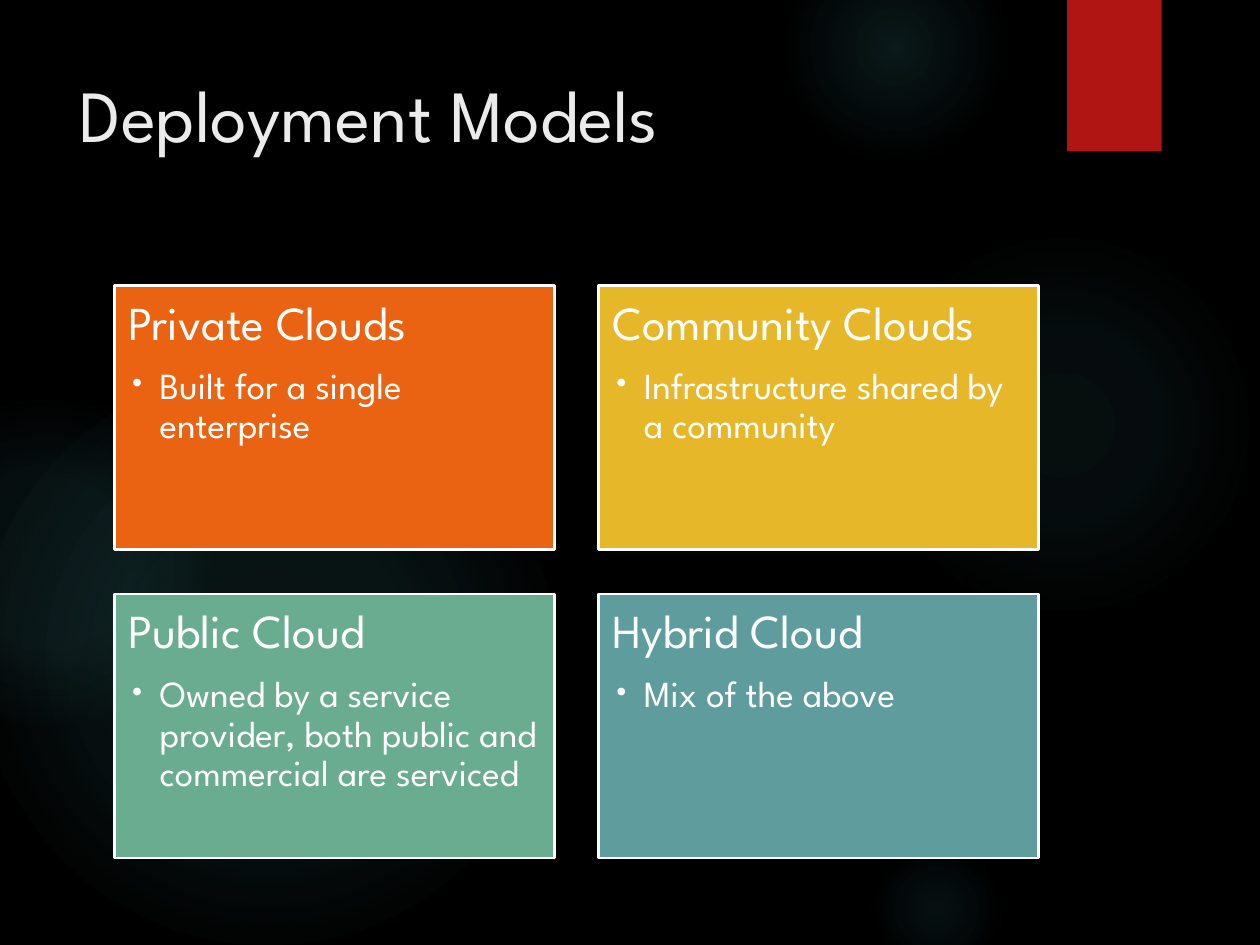
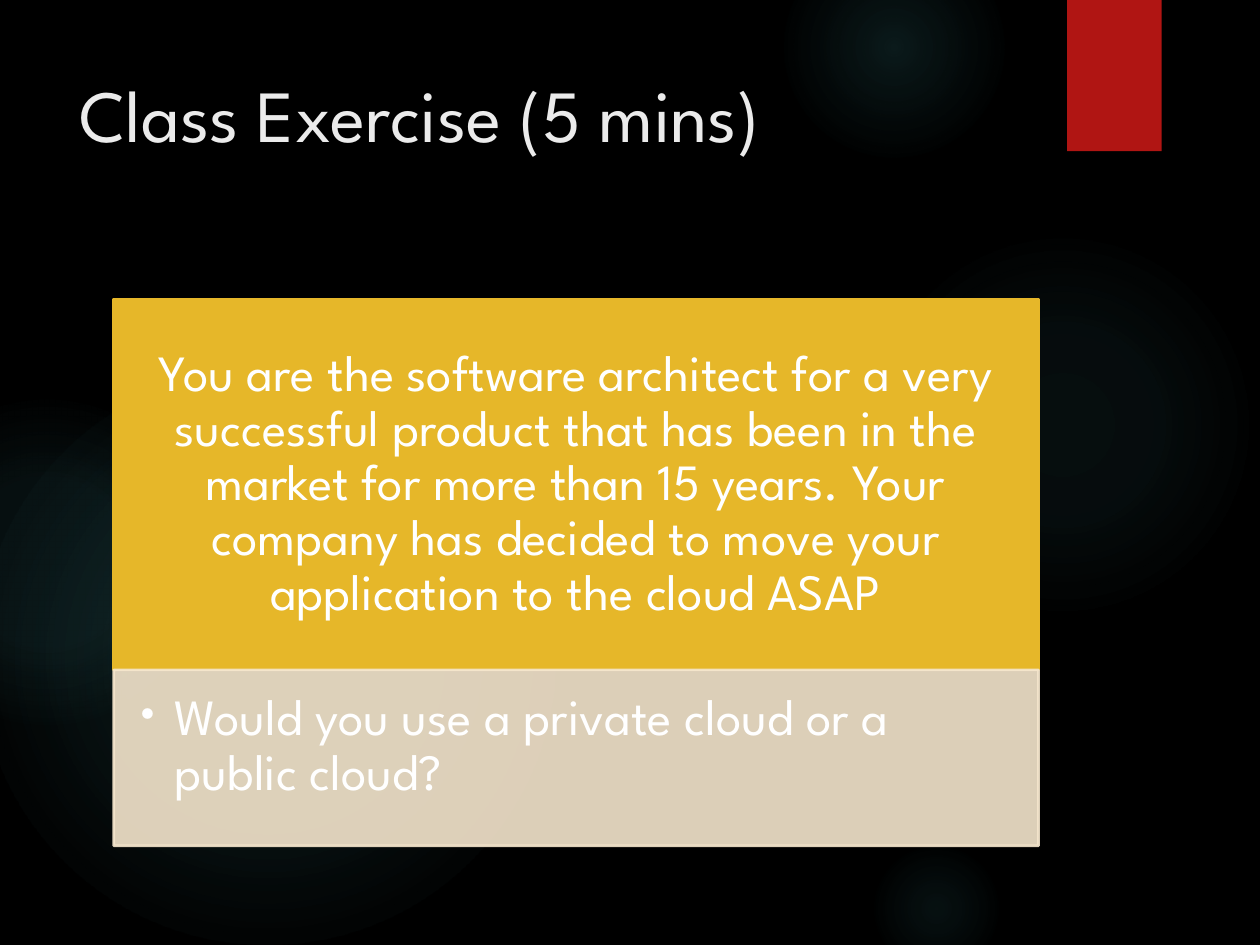
from lxml.etree import SubElement
from pptx import Presentation
from pptx.dml.color import RGBColor
from pptx.enum.shapes import MSO_SHAPE as Shape
from pptx.enum.text import MSO_ANCHOR as Anchor, PP_ALIGN as Align
from pptx.oxml import parse_xml
from pptx.oxml.ns import nsdecls, qn
from pptx.util import Pt

FONT = "League Spartan"
BLACK = RGBColor(0x00, 0x00, 0x00)
WHITE = RGBColor(0xFF, 0xFF, 0xFF)
TITLE_GREY = RGBColor(0xEB, 0xEB, 0xEB)
RED = RGBColor(0xB0, 0x15, 0x13)
GLOW_TEAL = RGBColor(0x50, 0xB9, 0xC1)
ORANGE = RGBColor(0xEA, 0x63, 0x12)
YELLOW = RGBColor(0xE6, 0xB7, 0x29)
GREEN = RGBColor(0x6A, 0xAC, 0x90)
BLUE = RGBColor(0x5F, 0x9C, 0x9D)
CREAM = RGBColor(0xF5, 0xE6, 0xCD)

MODELS_TITLE = "Deployment Models"
MODELS = [
    ("Private Clouds", "Built for a single enterprise", ORANGE),
    ("Community Clouds", "Infrastructure shared by a community", YELLOW),
    ("Public Cloud",
     "Owned by a service provider, both public and commercial are serviced", GREEN),
    ("Hybrid Cloud", "Mix of the above", BLUE),
]
EXERCISE_TITLE = "Class Exercise (5 mins)"
SCENARIO = ("You are the software architect for a very successful product that has "
            "been in the market for more than 15 years. Your company has decided to "
            "move your application to the cloud ASAP")
QUESTION = "Would you use a private cloud or a public cloud?"

# Left, top, diameter in points, then (position, opacity) stops in percent
GLOWS = [
    (496, 131.8, 221.8, [(0, 7), (36, 6), (69, 0)]),
    (447.8, -36, 126, [(0, 14), (36, 7), (73, 0)]),
    (496, 480.2, 77.8, [(0, 9), (36, 5), (66, 0)]),
    (-12.2, 210.2, 329.8, [(0, 11), (36, 10), (75, 0)]),
    (-66.2, 228.2, 185.8, [(0, 8), (36, 8), (72, 0)]),
]
RED_TAB = (609.8, 0, 54, 86.4)
TITLE_BOX = (38.2, 36, 555.8, 110.2)
CARD_LEFT, CARD_TOP, CARD_WIDTH, CARD_HEIGHT, CARD_GAP = 65.3, 163.2, 251.5, 151, 25.2
SCENARIO_BOX = (65, 170.8, 528.5, 212)
QUESTION_BOX = (65, 382.8, 528.5, 100.5)


def add_plain_shape(slide, kind, bounds):
    shape = slide.shapes.add_shape(kind, *map(Pt, bounds))
    shape.shadow.inherit = False
    shape.line.fill.background()
    return shape


def add_glow(slide, left, top, size, stops):
    glow = add_plain_shape(slide, Shape.OVAL, (left, top, size, size))
    stop_xml = "".join(
        f'<a:gs pos="{position * 1000}"><a:srgbClr val="{GLOW_TEAL}">'
        f'<a:alpha val="{opacity * 1000}"/></a:srgbClr></a:gs>'
        for position, opacity in stops)
    gradient = parse_xml(
        f'<a:gradFill {nsdecls("a")}><a:gsLst>{stop_xml}</a:gsLst><a:path path="circle">'
        '<a:fillToRect l="50000" t="50000" r="50000" b="50000"/></a:path></a:gradFill>')
    glow.element.spPr.find(qn("a:prstGeom")).addnext(gradient)
    return glow


def decorate_layout(layout, slide):
    """Draw the shared glows and red tab on a slide, then move them to its layout."""
    decorations = [add_glow(slide, *glow) for glow in GLOWS]
    tab = add_plain_shape(slide, Shape.RECTANGLE, RED_TAB)
    tab.fill.solid()
    tab.fill.fore_color.rgb = RED
    for order, shape in enumerate(decorations + [tab]):
        shape.element.nvSpPr.cNvPr.set("id", str(100 + order))
        layout.shapes.element.insert(2 + order, shape.element)


def add_titled_slide(deck, layout, title):
    slide = deck.slides.add_slide(layout)
    box = slide.shapes.title
    box.left, box.top, box.width, box.height = map(Pt, TITLE_BOX)
    frame = box.text_frame
    frame.text = title
    frame.vertical_anchor = Anchor.TOP
    para = frame.paragraphs[0]
    para.alignment = Align.LEFT
    set_font(para, 42, TITLE_GREY)
    return slide


def set_font(para, size, color=WHITE):
    para.font.name = FONT
    para.font.size = Pt(size)
    para.font.color.rgb = color


def add_panel(slide, bounds, color, line_color, insets, anchor=Anchor.TOP):
    panel = add_plain_shape(slide, Shape.RECTANGLE, bounds)
    panel.fill.solid()
    panel.fill.fore_color.rgb = color
    panel.line.color.rgb = line_color
    panel.line.width = Pt(1.5)
    frame = panel.text_frame
    frame.word_wrap = True
    frame.vertical_anchor = anchor
    (frame.margin_left, frame.margin_top,
     frame.margin_right, frame.margin_bottom) = map(Pt, insets)
    return panel


def write(para, text, size, align=Align.LEFT, space_after=0, bullet_indent=0):
    para.text = text
    para.alignment = align
    para.line_spacing = 0.9
    para.space_after = Pt(space_after)
    if bullet_indent:
        para.level = 1
        properties = para._p.get_or_add_pPr()
        properties.set("marL", str(Pt(bullet_indent)))
        properties.set("indent", str(-Pt(bullet_indent)))
        SubElement(properties, qn("a:buFont")).set("typeface", FONT)
        SubElement(properties, qn("a:buChar")).set("char", "•")
    set_font(para, size)


def make_translucent(shape, percent):
    for color in shape.element.spPr.iter(qn("a:srgbClr")):
        SubElement(color, qn("a:alpha")).set("val", str(percent * 1000))


def add_model_cards(slide):
    for index, (name, description, color) in enumerate(MODELS):
        row, column = divmod(index, 2)
        bounds = (CARD_LEFT + column * (CARD_WIDTH + CARD_GAP),
                  CARD_TOP + row * (CARD_HEIGHT + CARD_GAP), CARD_WIDTH, CARD_HEIGHT)
        frame = add_panel(slide, bounds, color, WHITE, [8] * 4).text_frame
        write(frame.paragraphs[0], name, 27, space_after=9.5)
        write(frame.add_paragraph(), description, 21, bullet_indent=18)


def add_exercise(slide):
    scenario = add_panel(slide, SCENARIO_BOX, YELLOW, YELLOW,
                         (16.5, 9.5, 16.5, 9.5), Anchor.MIDDLE)
    write(scenario.text_frame.paragraphs[0], SCENARIO, 29, Align.CENTER)
    question = add_panel(slide, QUESTION_BOX, CREAM, CREAM, (12.5, 12.5, 16.5, 18))
    make_translucent(question, 90)
    write(question.text_frame.paragraphs[0], QUESTION, 29, bullet_indent=22.5)


def main():
    deck = Presentation()
    deck.slide_width, deck.slide_height = Pt(720), Pt(540)
    background = deck.slide_master.background.fill
    background.solid()
    background.fore_color.rgb = BLACK
    layout = deck.slide_layouts.get_by_name("Title Only")

    models_slide = add_titled_slide(deck, layout, MODELS_TITLE)
    decorate_layout(layout, models_slide)
    add_model_cards(models_slide)
    add_exercise(add_titled_slide(deck, layout, EXERCISE_TITLE))
    deck.save("out.pptx")


if __name__ == "__main__":
    main()
